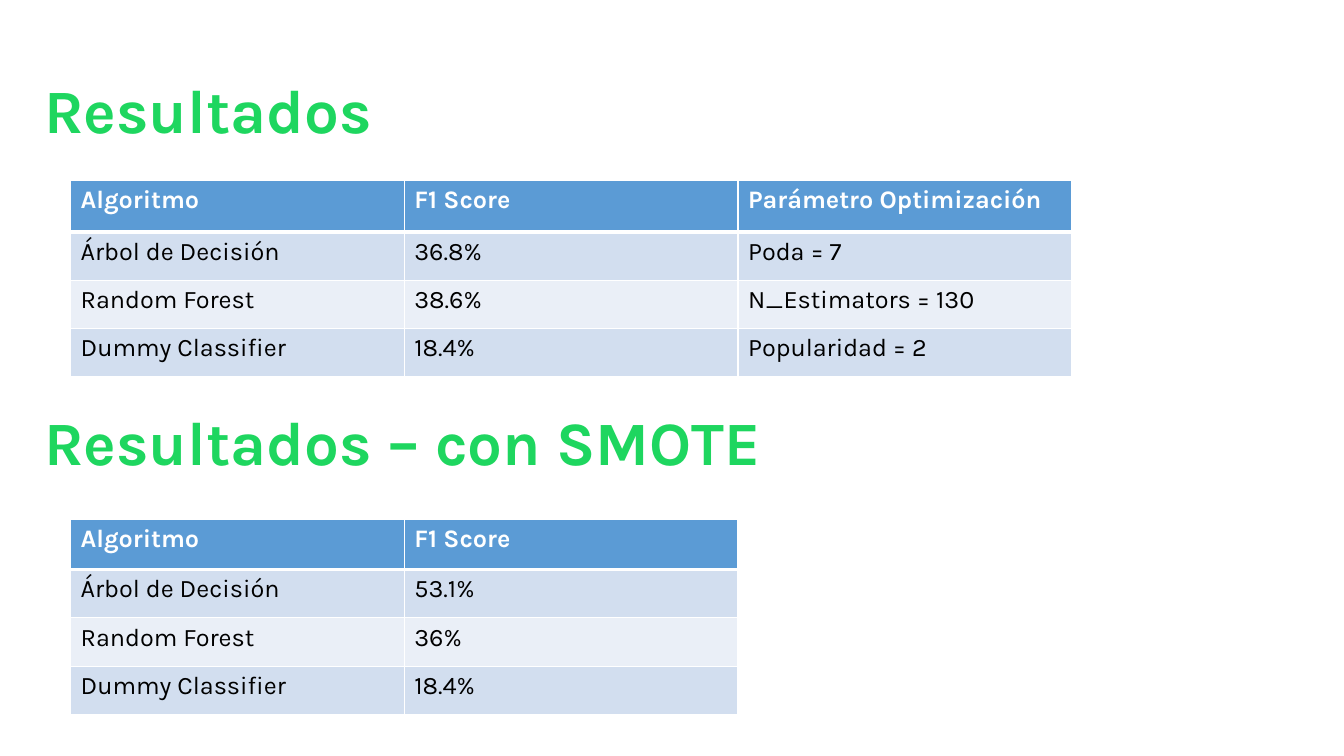
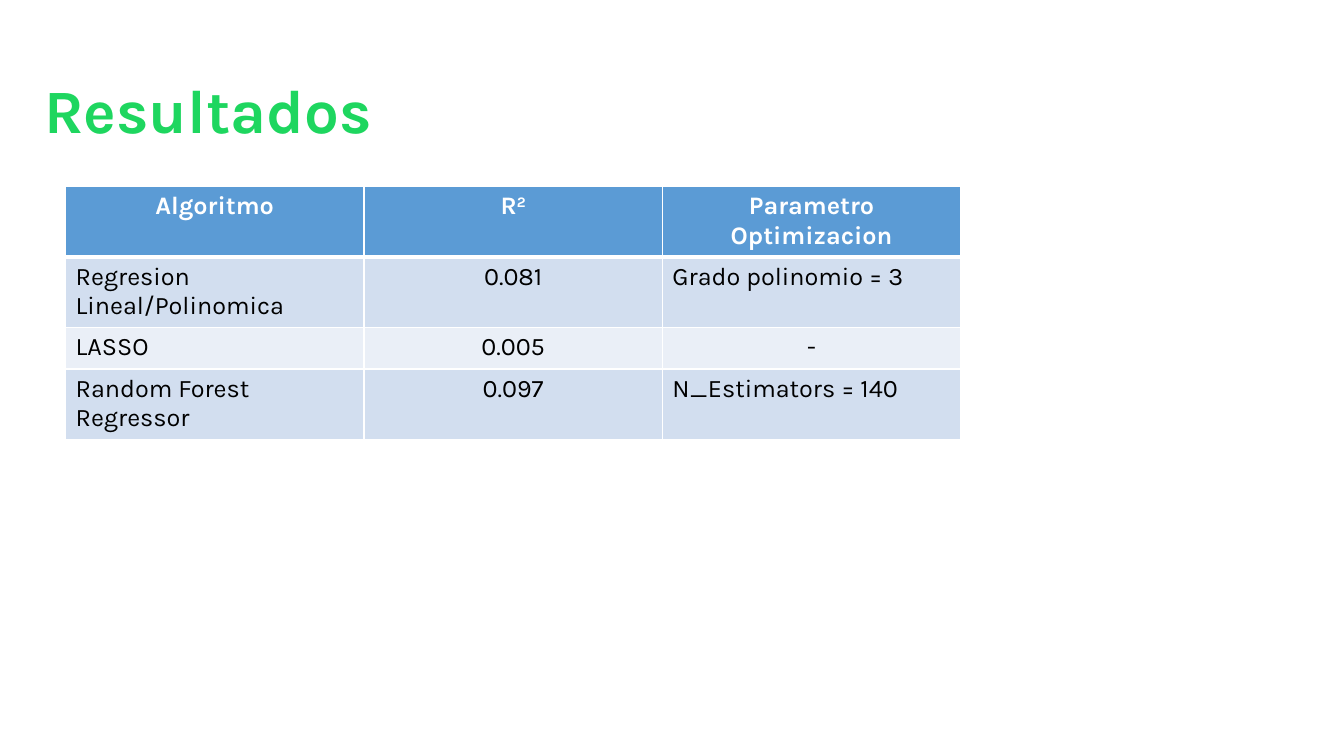
"""Build two slides with the scores of the tested models."""
from lxml import etree
from pptx import Presentation
from pptx import util as u
from pptx.dml.color import RGBColor
from pptx.enum import text
from pptx.oxml.ns import qn

FONT = "Karla"
HUES = {
    "title": "1ED65F",
    "head": "5B9BD5",
    "odd": "D2DEEF",
    "even": "EAEFF7",
    "line": "FFFFFF",
    "ink": "000000",
}
MID = text.PP_ALIGN.CENTER


def color(name):
    return RGBColor.from_string(HUES[name])


def style(para, size, hue, bold):
    font = para.font
    font.name, font.size, font.bold = FONT, u.Pt(size), bold
    font.color.rgb = color(hue)


def add_title(slide, words, top=0.4):
    box = slide.shapes.add_textbox(
        u.Inches(0.34), u.Inches(top), u.Inches(11.21), u.Inches(1.45))
    frame = box.text_frame
    frame.word_wrap = True
    frame.vertical_anchor = text.MSO_ANCHOR.MIDDLE
    para = frame.paragraphs[0]
    para.text = words
    para.line_spacing = 0.9
    style(para, 44, "title", True)


def add_edges(cell, row):
    props = cell._tc.get_or_add_tcPr()
    thick = {0: "lnB", 1: "lnT"}.get(row)
    for tag in ("lnL", "lnR", "lnT", "lnB"):
        width = u.Pt(3 if tag == thick else 1)
        line = etree.SubElement(props, qn("a:" + tag), w=str(width))
        fill = etree.SubElement(line, qn("a:solidFill"))
        etree.SubElement(fill, qn("a:srgbClr"), val=HUES["line"])


def fill_cell(cell, words, row, align):
    add_edges(cell, row)
    cell.fill.solid()
    band = "odd" if row % 2 else "even"
    cell.fill.fore_color.rgb = color(band if row else "head")
    para = cell.text_frame.paragraphs[0]
    base, _, power = words.partition("^")
    para.add_run().text = base
    if power:
        run = para.add_run()
        run.text = power
        run._r.get_or_add_rPr().set("baseline", "30000")
    para.alignment = align
    style(para, 18, "ink" if row else "line", not row)


def add_grid(slide, left, top, width, heights, rows, center=()):
    count = len(rows[0])
    table = slide.shapes.add_table(
        len(rows), count, u.Inches(left), u.Inches(top),
        u.Inches(width * count), u.Inches(sum(heights))).table
    for col in table.columns:
        col.width = u.Inches(width)
    for r, (words, height) in enumerate(zip(rows, heights)):
        table.rows[r].height = u.Inches(height)
        for c, word in enumerate(words):
            align = MID if (r, c) in center else None
            fill_cell(table.cell(r, c), word, r, align)


def class_slide(slide):
    add_title(slide, "Resultados")
    add_grid(slide, 0.7, 1.79, 3.31, [0.51] + [0.48] * 3, [
        ("Algoritmo", "F1 Score", "Parámetro Optimización"),
        ("Árbol de Decisión", "36.8%", "Poda = 7"),
        ("Random Forest", "38.6%", "N_Estimators = 130"),
        ("Dummy Classifier", "18.4%", "Popularidad = 2"),
    ])
    add_grid(slide, 0.7, 5.15, 3.31, [0.5] + [0.48] * 3, [
        ("Algoritmo", "F1 Score"),
        ("Árbol de Decisión", "53.1%"),
        ("Random Forest", "36%"),
        ("Dummy Classifier", "18.4%"),
    ])
    add_title(slide, "Resultados – con SMOTE", 3.69)


def fit_slide(slide):
    add_title(slide, "Resultados")
    center = {(0, 0), (0, 2), (2, 2)} | {(r, 1) for r in range(4)}
    add_grid(slide, 0.65, 1.85, 2.96, [0.41] * 4, [
        ("Algoritmo", "R^2", "Parametro Optimizacion"),
        ("Regresion Lineal/Polinomica", "0.081", "Grado polinomio = 3"),
        ("LASSO", "0.005", "-"),
        ("Random Forest Regressor", "0.097", "N_Estimators = 140"),
    ], center)


def main():
    deck = Presentation()
    deck.slide_width, deck.slide_height = u.Inches(13.33), u.Inches(7.5)
    for build in (class_slide, fit_slide):
        build(deck.slides.add_slide(deck.slide_layouts[6]))
    deck.save("out.pptx")


if __name__ == "__main__":
    main()
